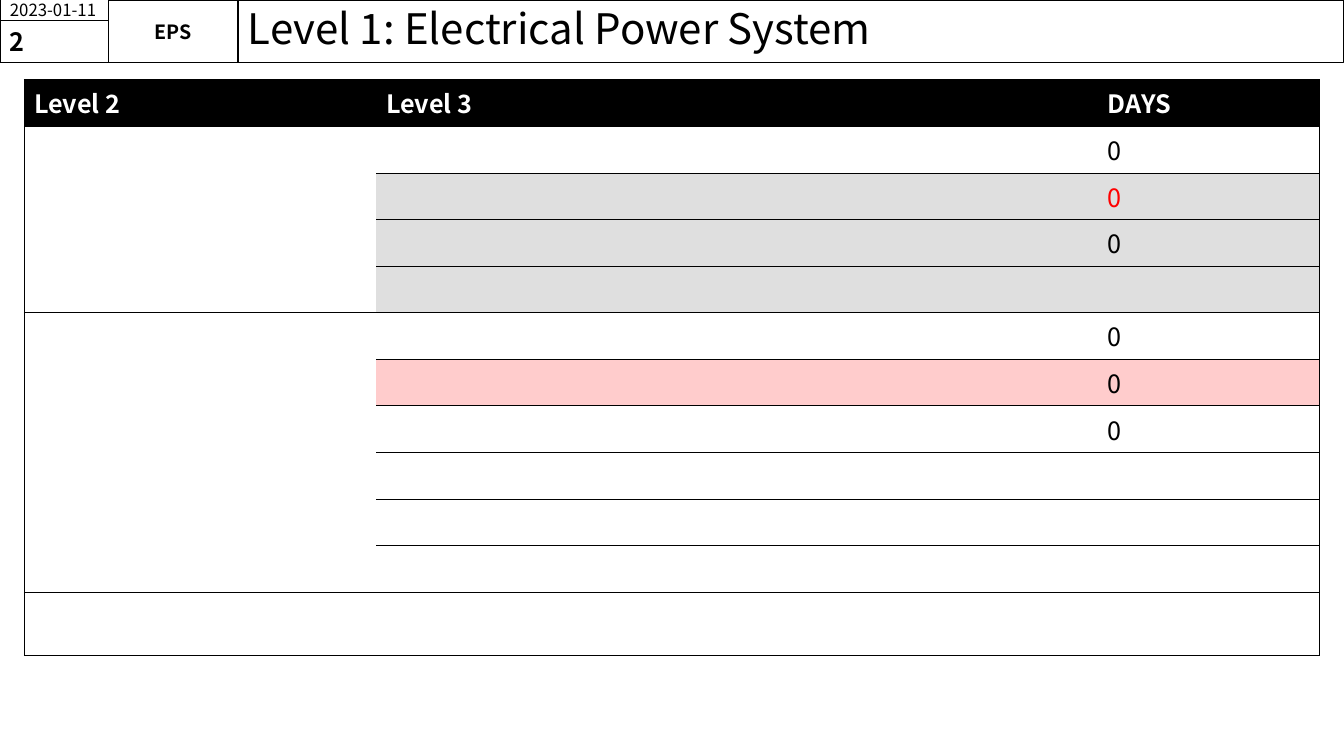
"""Build the Level 1 electrical power system schedule slide."""
from lxml import etree
from pptx import Presentation
from pptx.dml.color import RGBColor
from pptx.enum.shapes import MSO_SHAPE
from pptx.enum.text import MSO_ANCHOR, PP_ALIGN
from pptx.oxml.ns import qn
from pptx.util import Pt

RECTANGLE = MSO_SHAPE.RECTANGLE
MIDDLE = MSO_ANCHOR.MIDDLE
LEFT, CENTER = PP_ALIGN.LEFT, PP_ALIGN.CENTER

FONT = "Noto Sans CJK KR"
BLACK, WHITE, RED = "000000", "FFFFFF", "FF0000"
GREY, PINK = "DFDFDF", "FFCCCC"
NO_STYLE_NO_GRID = "{2D5ABB26-0587-4C30-8999-92F81FD0307C}"

DATE_HEIGHT, HEADER_HEIGHT = 14.4, 44.6
DATE_WIDTH, CODE_WIDTH, PAGE_WIDTH = 77.8, 92.2, 960

COLUMN_WIDTHS = [251.4, 515.4, 158.4]
ROW_HEIGHTS = [33.3] * 11 + [45.4]
HEADINGS = ["Level 2", "Level 3", "DAYS"]
GROUPS = [(1, 4), (5, 10)]
DAYS = {1: "0", 2: "0", 3: "0", 5: "0", 6: "0", 7: "0"}
DAY_COLORS = {2: RED}
ROW_FILLS = {2: GREY, 3: GREY, 4: GREY, 6: PINK}


def color(value):
    return RGBColor.from_string(value)


class SlideBuilder:
    """Hold the style and the current slide."""

    def __init__(self, page):
        self.page = page

    def span(self, para, text, size, shade=BLACK, bold=False):
        """Add one styled run to a paragraph."""
        span = para.add_run()
        span.text = text
        span.font.name = FONT
        span.font.size = Pt(size)
        span.font.bold = bold
        span.font.color.rgb = color(shade)

    def box(self, left, top, width, height, text, size,
            bold=False, align=LEFT, spacing=None, inset=None):
        """Add an outlined rectangle with one line of text."""
        box = self.page.shapes.add_shape(
            RECTANGLE, Pt(left), Pt(top), Pt(width), Pt(height))
        box.shadow.inherit = False
        box.fill.background()
        box.line.color.rgb = color(BLACK)
        box.line.width = Pt(0.75)
        frame = box.text_frame
        frame.word_wrap = True
        frame.vertical_anchor = MIDDLE
        if inset is not None:
            frame.margin_left = frame.margin_right = Pt(inset)
            frame.margin_top = frame.margin_bottom = Pt(inset)
        para = frame.paragraphs[0]
        para.alignment = align
        if spacing:
            para.line_spacing = spacing
        self.span(para, text, size, bold=bold)

    def table(self, left, top, widths, heights, merges):
        """Add an unstyled table with merged first-column groups."""
        frame = self.page.shapes.add_table(
            len(heights), len(widths), Pt(left), Pt(top),
            Pt(sum(widths)), Pt(sum(heights)))
        table = frame.table
        table.horz_banding = False
        style = frame._element.find(".//" + qn("a:tableStyleId"))
        style.text = NO_STYLE_NO_GRID
        for column, width in zip(table.columns, widths):
            column.width = Pt(width)
        for row, height in zip(table.rows, heights):
            row.height = Pt(height)
        for first, last in merges:
            table.cell(first, 0).merge(table.cell(last, 0))
        return table

    def borders(self, cell, sides):
        """Draw thin black lines on the given sides of a cell."""
        properties = cell._tc.get_or_add_tcPr()
        for side in sides:
            line = etree.SubElement(properties, qn("a:ln" + side), w=str(Pt(0.5)))
            fill = etree.SubElement(line, qn("a:solidFill"))
            etree.SubElement(fill, qn("a:srgbClr"), val=BLACK)

    def cell(self, cell, sides, fill=None, text="", shade=BLACK, bold=False):
        """Style and fill one table cell."""
        self.borders(cell, sides)
        if fill:
            cell.fill.solid()
            cell.fill.fore_color.rgb = color(fill)
        else:
            cell.fill.background()
        if text:
            self.span(cell.text_frame.paragraphs[0], text, 18, shade, bold)


def main():
    deck = Presentation()
    deck.slide_width, deck.slide_height = Pt(PAGE_WIDTH), Pt(540)
    builder = SlideBuilder(deck.slides.add_slide(deck.slide_layouts[6]))

    title_left = DATE_WIDTH + CODE_WIDTH
    builder.box(title_left, 0, PAGE_WIDTH - title_left, HEADER_HEIGHT,
                "Level 1: Electrical Power System", 30, spacing=0.9)
    builder.box(0, 0, DATE_WIDTH, DATE_HEIGHT, "2023-01-11", 12)
    builder.box(DATE_WIDTH, 0, CODE_WIDTH, HEADER_HEIGHT, "EPS", 14,
                bold=True, align=CENTER, inset=0)
    builder.box(0, DATE_HEIGHT, DATE_WIDTH, HEADER_HEIGHT - DATE_HEIGHT,
                "2", 18, bold=True)

    table = builder.table(17.3, 56.9, COLUMN_WIDTHS, ROW_HEIGHTS, GROUPS)
    outer_sides = ["L", "", "R"]
    for row in range(len(ROW_HEIGHTS)):
        for column, outer in enumerate(outer_sides):
            cell = table.cell(row, column)
            sides = outer if cell.is_spanned else outer + "TB"
            if row == 0:
                builder.cell(cell, sides, BLACK, HEADINGS[column], WHITE, True)
            elif column == 0:
                builder.cell(cell, sides)
            else:
                text = DAYS.get(row, "") if column == 2 else ""
                builder.cell(cell, sides, ROW_FILLS.get(row), text,
                             DAY_COLORS.get(row, BLACK))

    deck.save("out.pptx")


if __name__ == "__main__":
    main()
